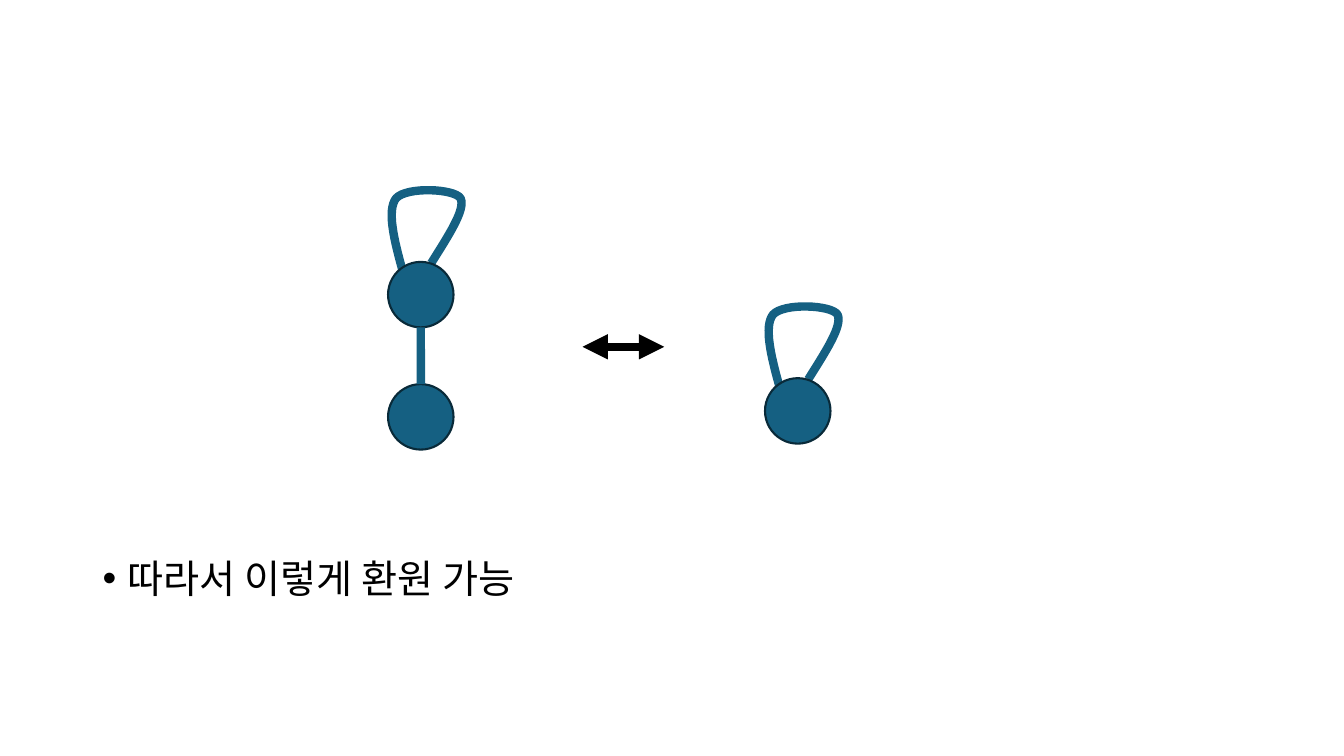
from dataclasses import dataclass

import pptx
import pptx.dml.color
import pptx.enum.dml
import pptx.enum.shapes
import pptx.enum.text
import pptx.oxml
import pptx.oxml.ns
import pptx.util
from pptx.util import Cm, Pt

BLUE = pptx.dml.color.RGBColor(0x15, 0x60, 0x82)
DARK_BLUE = pptx.dml.color.RGBColor(0x09, 0x2A, 0x39)
BLACK = pptx.dml.color.RGBColor(0, 0, 0)
FONT = "Noto Sans CJK KR"
NODE_SIZE = 1.65
STROKE = Pt(6)
CURVE_STEPS = 16

# Bézier points of a self-loop in cm, measured from its node's top-left corner
LOOP_START = (0.36, 0.2)
LOOP_CURVES = [
    ((0.15, -0.56), (-0.03, -1.3), (0.2, -1.6)),
    ((0.46, -1.9), (1.68, -1.85), (1.83, -1.6)),
    ((1.96, -1.32), (1.52, -0.66), (1.09, 0.03)),
]


@dataclass
class Node:
    left: float
    top: float
    looped: bool = False


UPPER = Node(9.78, 6.6, looped=True)
LOWER = Node(9.78, 9.68)
REDUCED = Node(19.28, 9.53, looped=True)


def add_xml(parent, tag: str, **attributes: str):
    return pptx.oxml.ns and parent.append(new_element(tag, **attributes))


def new_element(tag: str, **attributes: str):
    element = pptx.oxml.parse_xml(
        f'<{tag} xmlns:a="http://schemas.openxmlformats.org/drawingml/2006/main"/>')
    for name, value in attributes.items():
        element.set(name, value)
    return element


def loop_points() -> list[tuple[float, float]]:
    points = [LOOP_START]
    for first, second, end in LOOP_CURVES:
        start = points[-1]
        for step in range(1, CURVE_STEPS + 1):
            t = step / CURVE_STEPS
            u = 1 - t
            points.append(tuple(
                u**3 * a + 3 * u**2 * t * b + 3 * u * t**2 * c + t**3 * d
                for a, b, c, d in zip(start, first, second, end)))
    return points


def draw_loop(page, node: Node) -> None:
    points = [(Cm(node.left + x), Cm(node.top + y)) for x, y in loop_points()]
    builder = page.shapes.build_freeform(*points[0])
    builder.add_line_segments(points[1:], close=False)
    loop = builder.convert_to_shape()
    loop.shadow.inherit = False
    loop.fill.background()
    loop.line.color.rgb = BLUE
    loop.line.width = STROKE


def draw_node(page, node: Node):
    if node.looped:
        draw_loop(page, node)
    circle = page.shapes.add_shape(
        pptx.enum.shapes.MSO_SHAPE.OVAL,
        Cm(node.left), Cm(node.top), Cm(NODE_SIZE), Cm(NODE_SIZE))
    circle.shadow.inherit = False
    circle.fill.solid()
    circle.fill.fore_color.rgb = BLUE
    circle.line.color.rgb = DARK_BLUE
    circle.line.width = Pt(1.5)
    return circle


def draw_line(page, start: tuple[float, float], end: tuple[float, float],
              color: pptx.dml.color.RGBColor):
    line = page.shapes.add_connector(
        pptx.enum.shapes.MSO_CONNECTOR.STRAIGHT, *map(Cm, start + end))
    line.line.color.rgb = color
    line.line.width = STROKE
    add_xml(line._element.spPr, "a:effectLst")
    return line


def write_conclusion(page) -> None:
    body = page.placeholders[1]
    body.left, body.top, body.width, body.height = Cm(2.33), Cm(13.97), Cm(29.21), Cm(5.56)
    frame = body.text_frame
    frame.auto_size = pptx.enum.text.MSO_AUTO_SIZE.NONE
    frame.text = "따라서 이렇게 환원 가능"
    para = frame.paragraphs[0]
    para.line_spacing = 0.9
    para.space_before = Pt(0)
    properties = para._p.get_or_add_pPr()
    properties.set("marL", str(Cm(0.64)))
    properties.set("indent", str(Cm(-0.64)))
    add_xml(properties, "a:buFont", typeface="Arial")
    add_xml(properties, "a:buChar", char="•")
    span = para.runs[0]
    span.font.size = Pt(28)
    span.font.name = FONT
    span.font.color.rgb = BLACK
    add_xml(span.font._element, "a:ea", typeface=FONT)


def main() -> None:
    deck = pptx.Presentation()
    deck.slide_width, deck.slide_height = Cm(33.87), Cm(19.05)
    page = deck.slides.add_slide(deck.slide_layouts[1])
    title = page.shapes.title._element
    title.getparent().remove(title)
    write_conclusion(page)

    # Graph before and after the reduction
    lower_circle = draw_node(page, LOWER)
    draw_node(page, UPPER)
    middle = UPPER.left + NODE_SIZE / 2
    edge = draw_line(page, (middle, LOWER.top), (middle, UPPER.top + NODE_SIZE), BLUE)
    edge.begin_connect(lower_circle, 0)
    draw_node(page, REDUCED)

    # Two-way arrow between the graphs
    arrow = draw_line(page, (14.68, 8.74), (16.74, 8.74), BLACK)
    for tag in ("a:headEnd", "a:tailEnd"):
        add_xml(arrow.line._get_or_add_ln(), tag, type="triangle")

    deck.save("out.pptx")


if __name__ == "__main__":
    main()
